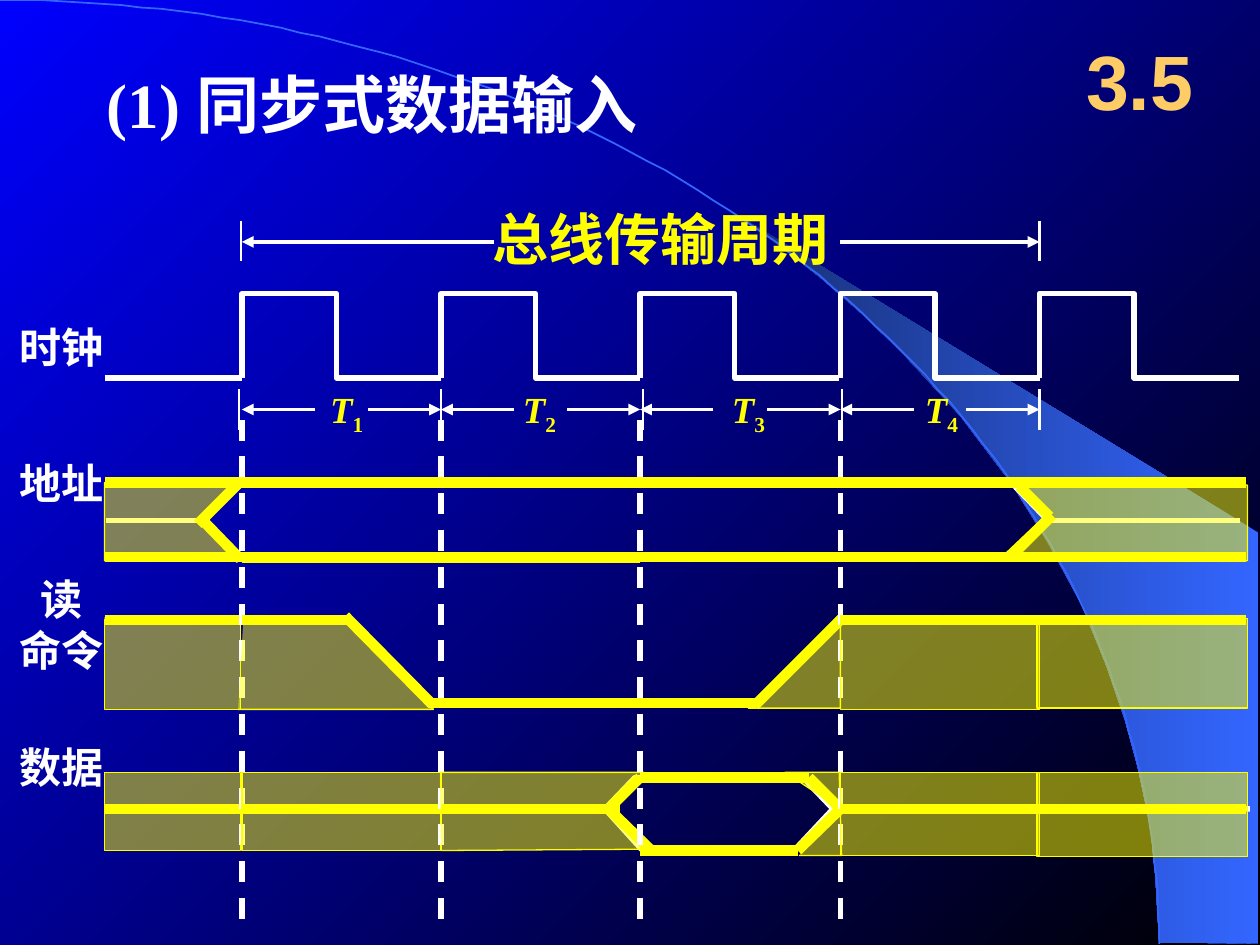
"""Build the slide on synchronous data input over a bus."""
import math
from dataclasses import dataclass

from lxml import etree
from pptx import Presentation, util as u
from pptx.dml import color
from pptx.enum import dml, shapes, text
from pptx.oxml import ns

PX = 9144
WIDE, HIGH = 1000, 750


@dataclass(frozen=True)
class Theme:
    white: str = "FFFFFF"
    yellow: str = "FFFF00"
    gold: str = "FFCC66"
    blue: str = "0000FF"
    black: str = "000000"
    sky: str = "3366FF"
    navy: str = "172F75"
    serif: str = "Times New Roman"
    sans: str = "Arial"
    han: str = "Noto Sans CJK SC"
    title: int = 36
    head: int = 32
    label: int = 24
    mark: int = 21
    page: int = 44


class Deck:
    def __init__(self, theme):
        self.theme = theme
        self.prs = Presentation()
        self.prs.slide_width, self.prs.slide_height = WIDE * PX, HIGH * PX
        self.slide = self.prs.slides.add_slide(self.prs.slide_layouts[6])

    def rgb(self, tone):
        return color.RGBColor.from_string(tone)

    def blend(self, fill, tones, angle):
        fill.gradient()
        fill.gradient_angle = angle
        for stop, tone in zip(fill.gradient_stops, tones):
            stop.color.rgb = self.rgb(tone)

    def pen(self, line, tone, width):
        line.color.rgb = self.rgb(tone)
        line.width = u.Pt(width)

    def line(self, start, end, tone, width, arrow=False, dash=False):
        ends = [v * PX for v in (*start, *end)]
        item = self.slide.shapes.add_connector(shapes.MSO_CONNECTOR.STRAIGHT, *ends)
        self.pen(item.line, tone, width)
        if dash:
            item.line.dash_style = dml.MSO_LINE.DASH
        props = item._element.spPr
        if arrow:
            etree.SubElement(props.find(ns.qn("a:ln")), ns.qn("a:tailEnd"), type="triangle")
        etree.SubElement(props, ns.qn("a:effectLst"))

    def outline(self, points, close=False):
        form = self.slide.shapes.build_freeform(*points[0], scale=PX)
        form.add_line_segments(points[1:], close=close)
        item = form.convert_to_shape()
        item.shadow.inherit = False
        return item

    def trace(self, points, tone, width, close=False):
        item = self.outline(points, close)
        item.fill.background()
        self.pen(item.line, tone, width)

    def veil(self, item):
        item.shadow.inherit = False
        item.fill.solid()
        item.fill.fore_color.rgb = self.rgb(self.theme.yellow)
        tint = item._element.spPr.find(ns.qn("a:solidFill"))[0]
        etree.SubElement(tint, ns.qn("a:alpha"), val="50000")
        self.pen(item.line, self.theme.yellow, 0.75)

    def block(self, *box):
        rect = shapes.MSO_SHAPE.RECTANGLE
        self.veil(self.slide.shapes.add_shape(rect, *(v * PX for v in box)))

    def patch(self, points):
        self.veil(self.outline(points))

    def text(self, box, lines, size, tone, face, inset=(0, 0), frame=None, para=None):
        item = self.slide.shapes.add_textbox(*(v * PX for v in box))
        body = item.text_frame
        side, edge = (v * PX for v in inset)
        base = dict(margin_left=side, margin_right=side, margin_top=edge,
                    margin_bottom=edge, word_wrap=False,
                    auto_size=text.MSO_AUTO_SIZE.SHAPE_TO_FIT_TEXT)
        for key, val in {**base, **(frame or {})}.items():
            setattr(body, key, val)
        for n, runs in enumerate(lines):
            par = body.add_paragraph() if n else body.paragraphs[0]
            for key, val in (para or {}).items():
                setattr(par, key, val)
            for words, style in runs:
                run = par.add_run()
                run.text = words
                for key, val in dict(size=u.Pt(size), name=face, bold=True).items():
                    setattr(run.font, key, val)
                run.font.color.rgb = self.rgb(tone)
                props = run._r.get_or_add_rPr()
                etree.SubElement(props, ns.qn("a:ea"), typeface=self.theme.han)
                for key, val in style.items():
                    props.set(key, val)


def scene(deck):
    t = deck.theme
    deck.blend(deck.slide.background.fill, (t.black, t.blue), 135)
    swoop = deck.outline([
        (920, 748), (999, 749), (999, 423), (589, 173), (624, 199), (653, 222),
        (685, 250), (716, 280), (762, 330), (803, 384), (832, 431), (858, 479),
        (878, 528), (893, 572), (903, 609), (913, 656), (917, 696)], close=True)
    deck.blend(swoop.fill, (t.sky, t.navy), 180)
    swoop.line.fill.background()
    turns = [math.radians(d) for d in range(91)]
    deck.trace([(round(920 * math.sin(a), 2), round(749 * (1 - math.cos(a)), 2))
                for a in turns], t.sky, 1)
    deck.text((75, 47, 517, 70), [[("(1) 同步式数据输入", {})]], t.title, t.white,
              t.serif, (10, 5), dict(word_wrap=True), dict(line_spacing=u.Pt(43)))
    deck.text((842, 17, 125, 92), [[("3.5", {})]], t.page, t.gold, t.sans, (10, 5),
              dict(word_wrap=True, auto_size=text.MSO_AUTO_SIZE.NONE,
                   vertical_anchor=text.MSO_ANCHOR.MIDDLE),
              dict(alignment=text.PP_ALIGN.CENTER))


def clock(deck, edges):
    t = deck.theme
    deck.text((391, 163, 267, 53), [[("总线传输周期", {})]], t.head, t.yellow, t.han,
              para=dict(line_spacing=u.Pt(38)))
    deck.line((83, 300), (192, 300), t.white, 3)
    for x in edges:
        deck.trace([(x, 300), (x, 233), (x + 75, 233), (x + 75, 300), (x + 158, 300)],
                   t.white, 3)
    for x, y in [(191, 175), (825, 175), *((x, 309) for x in (190, 350, 510, 668, 825))]:
        deck.line((x, y), (x, y + 32), t.white, 1.25)
    arrows = [(392, 192, 192), (667, 825, 192)]
    for left, right in zip(edges, edges[1:]):
        arrows += [(left + 58, left, 325), (right - 58, right, 325)]
    for tail, tip, y in arrows:
        deck.line((tail, y), (tip, y), t.white, 2.25, arrow=True)
    for n, x in enumerate((262, 415, 581, 734), 1):
        runs = [("T", dict(i="1")), (str(n), dict(baseline="-25000"))]
        deck.text((x, 307, 34, 40), [runs], t.mark, t.yellow, t.serif,
                  para=dict(alignment=text.PP_ALIGN.LEFT))


def waves(deck):
    t = deck.theme
    labels = [(250, 50, ["时钟"]), (358, 50, ["地址"]),
              (450, 90, ["读", "命令"]), (583, 50, ["数据"])]
    for y, high, words in labels:
        deck.text((15, y, 67, high), [[(w, {})] for w in words], t.label, t.white,
                  t.serif, (0, 5), para=dict(alignment=text.PP_ALIGN.CENTER,
                                             line_spacing=u.Pt(29)))
    deck.trace([(191, 383), (162, 413), (192, 443), (802, 443), (831, 413), (802, 383)],
               t.white, 2.5, close=True)
    deck.trace([(480, 642), (504, 617), (637, 617), (661, 642), (631, 674), (509, 674)],
               t.white, 3, close=True)
    for a, b, c, d in [(167, 413, 84, 413), (833, 413, 984, 413), (83, 492, 279, 491),
                       (343, 561, 274, 491), (667, 490, 598, 560), (342, 558, 600, 558),
                       (667, 492, 984, 492), (83, 642, 480, 642), (661, 641, 992, 642)]:
        deck.line((a, b), (c, d), t.white, 3)


def phases(deck, edges):
    t = deck.theme
    steps = [
        dict(span=(83, 192), flat=(492, 642), dash=edges[0],
             rects=[(83, 492, 108, 71), (83, 613, 108, 62)],
             forms=[[(162, 417), (184, 384), (83, 383), (83, 445), (190, 445)]],
             bars=[(191, 444, 159, 411), (189, 384, 157, 416)]),
        dict(span=(192, 350), flat=(642,), thin=True, dash=edges[1],
             rects=[(192, 613, 158, 62)],
             forms=[[(189, 563), (344, 563), (276, 492), (193, 494)]],
             bars=[(192, 492, 275, 492), (343, 559, 274, 489)]),
        dict(span=(350, 508), thin=True, dash=edges[2],
             forms=[[(349, 613), (511, 613), (483, 642), (511, 674), (350, 675)]],
             bars=[(350, 642, 492, 642), (342, 558, 513, 558),
                   (483, 642, 508, 617), (483, 642, 517, 675)]),
        dict(span=(508, 600), flat=(558, 617, 675), bars=[(669, 490, 599, 560)]),
        dict(span=(600, 667), dash=edges[3],
             forms=[[(594, 562), (667, 562), (667, 487), (594, 562)],
                    [(667, 642), (623, 613), (666, 613), (668, 679), (634, 679)]],
             bars=[(633, 675, 667, 642), (642, 617, 667, 642),
                   (600, 617, 642, 617), (592, 675, 633, 675)]),
        dict(span=(667, 825), flat=(492, 642),
             rects=[(667, 492, 158, 71), (667, 613, 158, 66)],
             bars=[(835, 409, 803, 441), (833, 410, 809, 386)]),
        dict(span=(823, 989), flat=(492, 642),
             rects=[(823, 491, 167, 71), (823, 613, 167, 67)],
             forms=[[(806, 383), (990, 385), (990, 445), (792, 445), (831, 408)]]),
    ]
    for step in steps:
        left, right = step["span"]
        for box in step.get("rects", ()):
            deck.block(*box)
        for form in step.get("forms", ()):
            deck.patch(form)
        for y in (385, 445) if step.get("thin") else ():
            deck.line((left, y), (right, y), t.yellow, 3)
        flats = [(left, y, right, y) for y in (383, 442, *step.get("flat", ()))]
        for a, b, c, d in flats + step.get("bars", []):
            deck.line((a, b), (c, d), t.yellow, 6)
        if "dash" in step:
            x = step["dash"]
            deck.line((x, 333), (x, 738), t.white, 3, dash=True)


def main():
    deck = Deck(Theme())
    edges = [round((575 + 475 * n) / 3) for n in range(5)]
    scene(deck)
    clock(deck, edges)
    waves(deck)
    phases(deck, edges)
    deck.prs.save("out.pptx")


if __name__ == "__main__":
    main()
